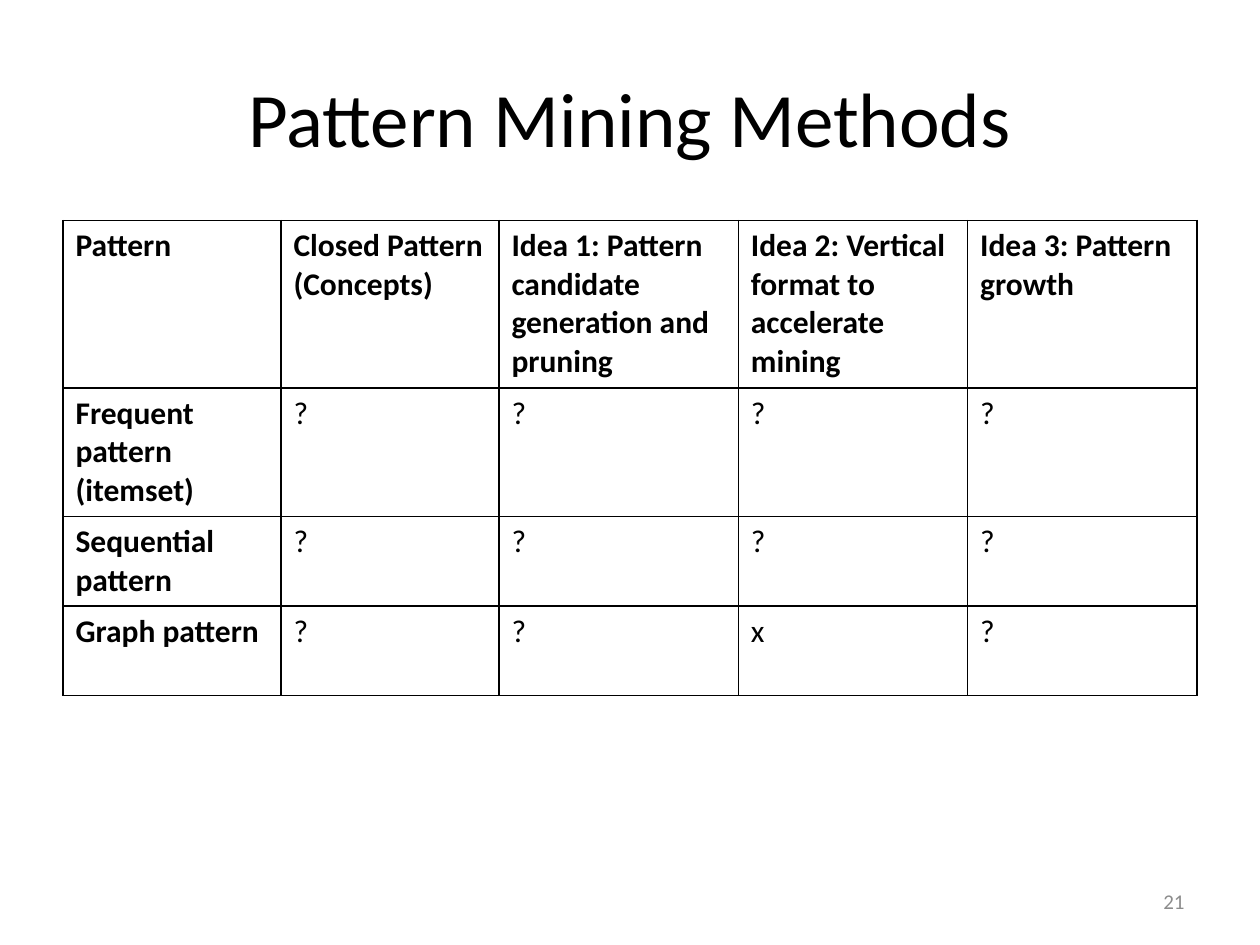
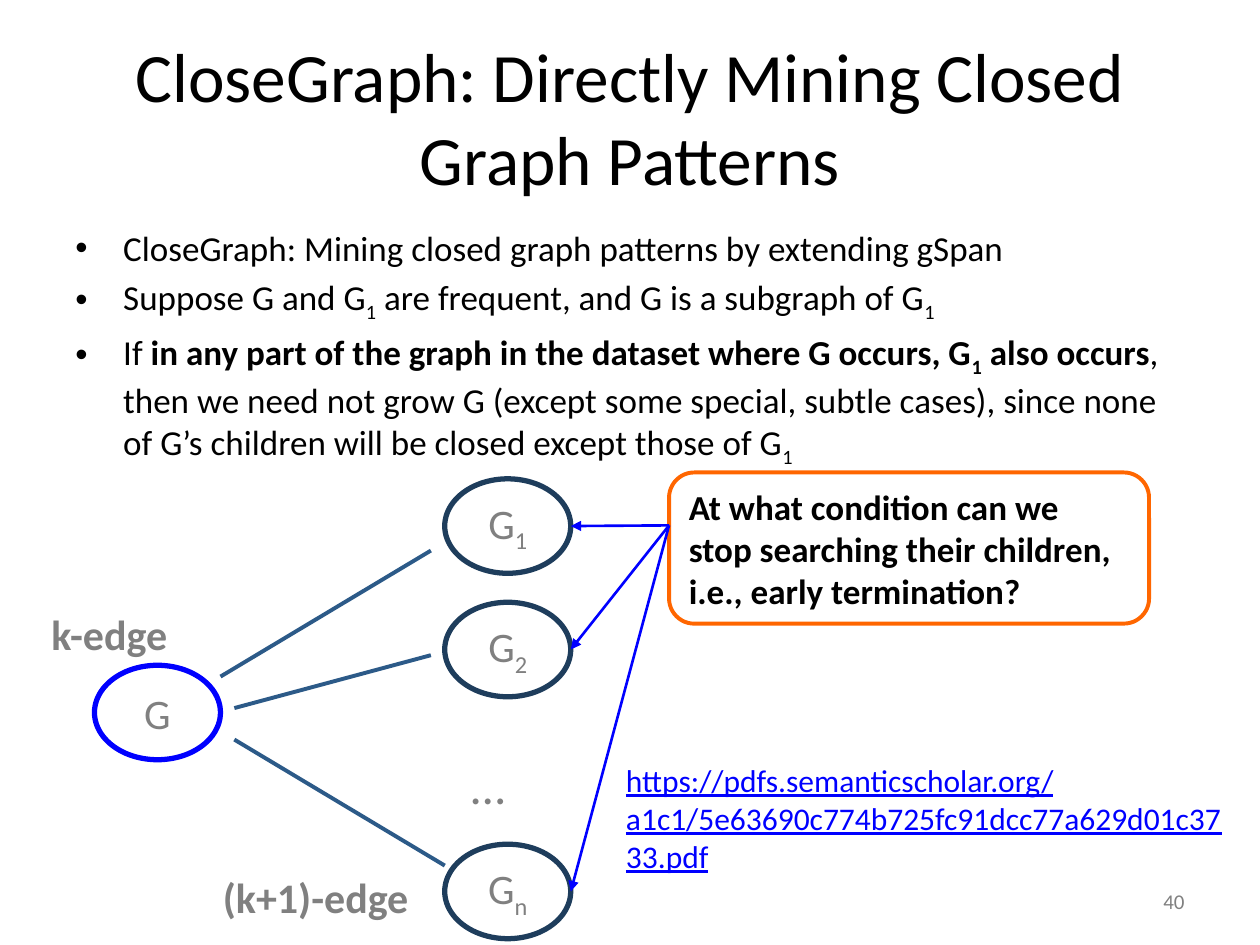
from dataclasses import dataclass

from lxml import etree
from pptx import Presentation
from pptx.dml.color import RGBColor
from pptx.enum.shapes import MSO_CONNECTOR, MSO_SHAPE
from pptx.enum.text import MSO_ANCHOR, PP_ALIGN
from pptx.oxml.ns import qn
from pptx.util import Inches, Pt


@dataclass(frozen=True)
class Theme:
    """Colours, font and type sizes shared by the slides."""
    font: str = "Calibri"
    ink: str = "000000"
    paper: str = "FFFFFF"
    grey: str = "808080"
    pale_grey: str = "8C8C8C"
    blue: str = "0000FF"
    navy: str = "1E3D5C"
    steel: str = "2C5A88"
    orange: str = "FF6600"
    title: float = 44
    long_title: float = 39.6
    ellipsis: float = 28
    graph: float = 24
    body: float = 20
    small: float = 18
    footer: float = 12


THEME = Theme()
TITLE_BOX = (0.5, 0.3, 9, 1.25)
CONTENT_BOX = (0.5, 1.75, 9, 4.95)
NUMBER_BOX = (7.17, 6.95, 2.33, 0.4)
GRAPH_BOX = (0.31, 3.75, 9.56, 3.7)
NODE_SIZE = (1, 0.75)

COLUMN_WIDTHS = (1.73, 1.73, 1.9, 1.82, 1.82)
ROW_HEIGHTS = (1.33, 1.02, 0.71, 0.71)
METHODS = (
    ("Pattern", "Closed Pattern (Concepts)",
     "Idea 1: Pattern candidate generation and pruning",
     "Idea 2: Vertical format to accelerate mining", "Idea 3: Pattern growth"),
    ("Frequent pattern (itemset)", "?", "?", "?", "?"),
    ("Sequential pattern", "?", "?", "?", "?"),
    ("Graph pattern", "?", "?", "x", "?"),
)

POINTS = (
    (("CloseGraph: Mining closed graph patterns by extending gSpan", ""),),
    (("Suppose G and G", ""), ("1", "sub"),
     (" are frequent, and G is a subgraph of G", ""), ("1", "sub")),
    (("If ", ""),
     ("in any part of the graph in the dataset where G occurs, G", "bold"),
     ("1", "bold sub"), (" also occurs", "bold"),
     (", then we need not grow G (except some special, subtle cases), since none "
      "of G’s children will be closed except those of G", ""), ("1", "sub")),
)
QUESTION = ("At what condition can we", "stop searching their children,",
            "i.e., early termination?")
PAPER_URL = "https://pdfs.semanticscholar.org/a1c1/5e63690c774b725fc91dcc77a629d01c3733.pdf"


def rgb(colour):
    """Turn a hex colour into an RGBColor."""
    return RGBColor.from_string(colour)


def add_run(paragraph, words, size, colour, style=""):
    """Append a run; style may name bold, sub and underline."""
    run = paragraph.add_run()
    run.text = words
    font = run.font
    font.name, font.size, font.bold = THEME.font, Pt(size), "bold" in style
    font.color.rgb = rgb(colour)
    if "underline" in style:
        font.underline = True
    if "sub" in style:
        font._element.set("baseline", "-25000")


def write(frame, paragraphs, size, colour, align=PP_ALIGN.LEFT,
          anchor=MSO_ANCHOR.TOP, wrap=True):
    """Fill a text frame with paragraphs made of (words, style) runs."""
    frame.word_wrap, frame.vertical_anchor = wrap, anchor
    for index, runs in enumerate(paragraphs):
        paragraph = frame.add_paragraph() if index else frame.paragraphs[0]
        paragraph.alignment = align
        for words, style in runs:
            add_run(paragraph, words, size, colour, style)


def add_text(slide, box, paragraphs, size, colour, **layout):
    """Add a text box and return its frame."""
    frame = slide.shapes.add_textbox(*map(Inches, box)).text_frame
    write(frame, paragraphs, size, colour, **layout)
    return frame


def add_outlined(slide, preset, box, colour, weight):
    """Add a white preset shape with a coloured outline."""
    shape = slide.shapes.add_shape(preset, *map(Inches, box))
    shape.shadow.inherit = False
    shape.fill.solid()
    shape.fill.fore_color.rgb = rgb(THEME.paper)
    shape.line.color.rgb = rgb(colour)
    shape.line.width = Pt(weight)
    return shape


def add_line(slide, start, end, colour, weight, arrow=False):
    """Add a straight line, with an arrowhead at its end if asked."""
    line = slide.shapes.add_connector(MSO_CONNECTOR.STRAIGHT, *map(Inches, start + end))
    line.line.color.rgb = rgb(colour)
    line.line.width = Pt(weight)
    if arrow:
        etree.SubElement(line.line._get_or_add_ln(), qn("a:tailEnd"), type="triangle")
    etree.SubElement(line._element.spPr, qn("a:effectLst"))


def add_frame(prs, title, title_size, number, number_colour):
    """Add a slide with its title and page number."""
    slide = prs.slides.add_slide(prs.slide_layouts[6])
    add_text(slide, TITLE_BOX, [[(title, "")]], title_size, THEME.ink,
             align=PP_ALIGN.CENTER, anchor=MSO_ANCHOR.MIDDLE)
    add_text(slide, NUMBER_BOX, [[(number, "")]], THEME.footer, number_colour,
             align=PP_ALIGN.RIGHT, anchor=MSO_ANCHOR.MIDDLE)
    return slide


def add_borders(cell):
    """Draw a thin line on all four sides of a cell."""
    properties = cell._tc.get_or_add_tcPr()
    for side in ("lnL", "lnR", "lnT", "lnB"):
        line = etree.SubElement(properties, qn(f"a:{side}"), w=str(Pt(1)))
        fill = etree.SubElement(line, qn("a:solidFill"))
        etree.SubElement(fill, qn("a:srgbClr"), val=THEME.ink)


def add_methods_table(slide, box):
    """Add the table of pattern types against mining ideas."""
    left, top, width, _ = box
    table = slide.shapes.add_table(
        len(METHODS), len(COLUMN_WIDTHS), Inches(left), Inches(top),
        Inches(width), Inches(sum(ROW_HEIGHTS))).table
    table.first_row = table.horz_banding = False
    for column, column_width in zip(table.columns, COLUMN_WIDTHS):
        column.width = Inches(column_width)
    for r, (row, height) in enumerate(zip(table.rows, ROW_HEIGHTS)):
        row.height = Inches(height)
        for c, (cell, words) in enumerate(zip(row.cells, METHODS[r])):
            add_borders(cell)
            cell.fill.background()
            style = "bold" if r == 0 or c == 0 else ""
            add_run(cell.text_frame.paragraphs[0], words, THEME.small, THEME.ink, style)


def add_points(slide, box):
    """Add the bulleted explanation."""
    frame = add_text(slide, box, POINTS, THEME.body, THEME.ink)
    for index, paragraph in enumerate(frame.paragraphs):
        properties = paragraph._p.get_or_add_pPr()
        properties.set("marL", str(Inches(0.38)))
        properties.set("indent", str(Inches(-0.38)))
        etree.SubElement(properties, qn("a:buFont"), typeface="Arial")
        etree.SubElement(properties, qn("a:buChar"), char="•")
        paragraph.space_before = Pt(0.2 * THEME.body if index else 0)


def add_node(slide, left, top, subscript, colour):
    """Add one graph node labelled G with an optional subscript."""
    node = add_outlined(slide, MSO_SHAPE.OVAL, (left, top, *NODE_SIZE), colour, 3)
    label = [("G", "")] + ([(subscript, "sub")] if subscript else [])
    write(node.text_frame, [label], THEME.graph, THEME.grey,
          align=PP_ALIGN.CENTER, anchor=MSO_ANCHOR.MIDDLE, wrap=False)


def add_search_graph(slide, box):
    """Add the search tree, the question pointing at it and the source."""
    left, top = box[:2]

    def at(x, y, *size):
        """Shift a position into the region."""
        return (left + x, top + y, *size)

    child_x, child_tops = 3.22, {"1": 0.05, "2": 1.03, "n": 2.95}
    add_text(slide, at(3.33, 2.2, 0.52, 0.57), [[("…", "")]],
             THEME.ellipsis, THEME.grey, wrap=False)
    add_node(slide, *at(0.44, 1.53), "", THEME.blue)
    for subscript, child_top in child_tops.items():
        add_node(slide, *at(child_x, child_top), subscript, THEME.navy)

    for start, end in (((1.44, 1.62), (3.11, 0.62)),
                       ((1.55, 2.12), (3.22, 3.12)),
                       ((1.55, 1.87), (3.11, 1.45))):
        add_line(slide, at(*start), at(*end), THEME.steel, 2.25)

    add_text(slide, at(0, 1.03, 1.19, 0.5), [[("k-edge", "bold")]],
             THEME.graph, THEME.grey, wrap=False)
    add_text(slide, at(1.36, 3.12, 2.45, 0.5), [[("(k+1)-edge", "bold")]],
             THEME.graph, THEME.grey)

    question = add_outlined(slide, MSO_SHAPE.ROUNDED_RECTANGLE,
                            at(5, 0, 3.81, 1.2), THEME.orange, 2.25)
    write(question.text_frame, [[(line, "bold")] for line in QUESTION],
          THEME.body, THEME.ink, anchor=MSO_ANCHOR.MIDDLE)
    node_width, node_height = NODE_SIZE
    for child_top in child_tops.values():
        add_line(slide, at(5, 0.42), at(child_x + node_width, child_top + node_height / 2),
                 THEME.blue, 1.5, arrow=True)

    add_text(slide, at(4.56, 2.24, 5, 1.01), [[(PAPER_URL, "underline")]],
             THEME.small, THEME.blue)


def build_methods(prs):
    """Build the slide comparing mining methods."""
    slide = add_frame(prs, "Pattern Mining Methods", THEME.title, "21", THEME.pale_grey)
    add_methods_table(slide, CONTENT_BOX)


def build_closegraph(prs):
    """Build the slide explaining CloseGraph."""
    slide = add_frame(prs, "CloseGraph: Directly Mining Closed Graph Patterns",
                      THEME.long_title, "40", THEME.grey)
    add_points(slide, CONTENT_BOX)
    add_search_graph(slide, GRAPH_BOX)


def main():
    """Build and save the presentation."""
    prs = Presentation()
    prs.slide_width, prs.slide_height = Inches(10), Inches(7.5)
    build_methods(prs)
    build_closegraph(prs)
    prs.save("out.pptx")


if __name__ == "__main__":
    main()
